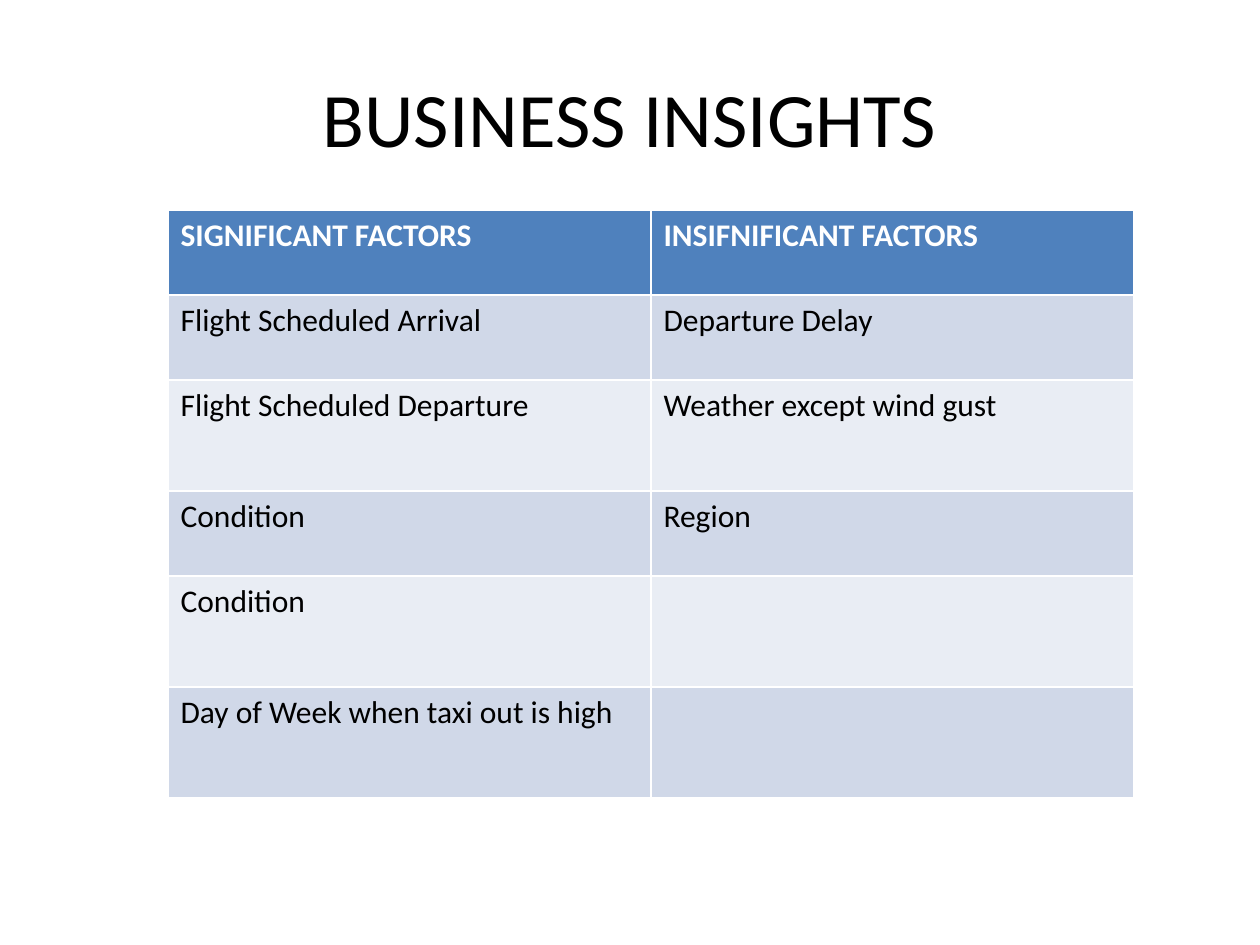
from pptx import Presentation
from pptx.dml.color import RGBColor
from pptx.enum.text import MSO_ANCHOR, PP_ALIGN
from pptx.util import Emu, Pt

PX = 914400 / 126
SLIDE_SIZE = (1260, 945)
TITLE_BOX = (63, 38, 1134, 158)
TABLE_BOX = (168, 210, 966, 588)

ROW_HEIGHTS = [85, 85, 111, 85, 111, 111]
FACTORS = [
    ("SIGNIFICANT FACTORS", "INSIFNIFICANT FACTORS"),
    ("Flight Scheduled Arrival", "Departure Delay"),
    ("Flight Scheduled Departure", "Weather except wind gust"),
    ("Condition", "Region"),
    ("Condition", ""),
    ("Day of Week when taxi out is high", ""),
]
HEADER_FILL = "4F81BD"
BAND_FILLS = ["E9EDF4", "D0D8E8"]

TITLE_FORMAT = {"name": "Calibri", "size": Pt(44), "bold": False}
HEADER_FORMAT = {"name": "Calibri", "size": Pt(18), "bold": True}
BODY_FORMAT = {"name": "Calibri", "size": Pt(18), "bold": False}


def px(length):
    return Emu(round(length * PX))


def color(hex_value):
    return RGBColor.from_string(hex_value)


def format_font(font, values, hex_value):
    for attribute, value in values.items():
        setattr(font, attribute, value)
    font.color.rgb = color(hex_value)


def place_title(slide, box, text):
    title = slide.shapes.title
    title.left, title.top, title.width, title.height = map(px, box)
    title.text_frame.text = text
    title.text_frame.vertical_anchor = MSO_ANCHOR.MIDDLE
    heading = title.text_frame.paragraphs[0]
    heading.alignment = PP_ALIGN.CENTER
    format_font(heading.runs[0].font, TITLE_FORMAT, "000000")


def fill_cell(cell, text, fill, values, text_color):
    cell.fill.solid()
    cell.fill.fore_color.rgb = color(fill)
    cell.text = text
    format_font(cell.text_frame.paragraphs[0].font, values, text_color)
    for run in cell.text_frame.paragraphs[0].runs:
        format_font(run.font, values, text_color)


def add_factor_table(slide, box, factors):
    """The default table style supplies the white rules between cells."""
    table = slide.shapes.add_table(
        len(factors), len(factors[0]), *map(px, box)).table
    for row, height in zip(table.rows, ROW_HEIGHTS):
        row.height = px(height)
    for index, row_texts in enumerate(factors):
        if index == 0:
            look = (HEADER_FILL, HEADER_FORMAT, "FFFFFF")
        else:
            look = (BAND_FILLS[index % 2], BODY_FORMAT, "000000")
        for column, text in enumerate(row_texts):
            fill_cell(table.cell(index, column), text, *look)


def main():
    presentation = Presentation()
    presentation.slide_width, presentation.slide_height = map(px, SLIDE_SIZE)
    slide = presentation.slides.add_slide(presentation.slide_layouts[5])
    add_factor_table(slide, TABLE_BOX, FACTORS)
    place_title(slide, TITLE_BOX, "BUSINESS INSIGHTS")
    presentation.save("out.pptx")


if __name__ == "__main__":
    main()
